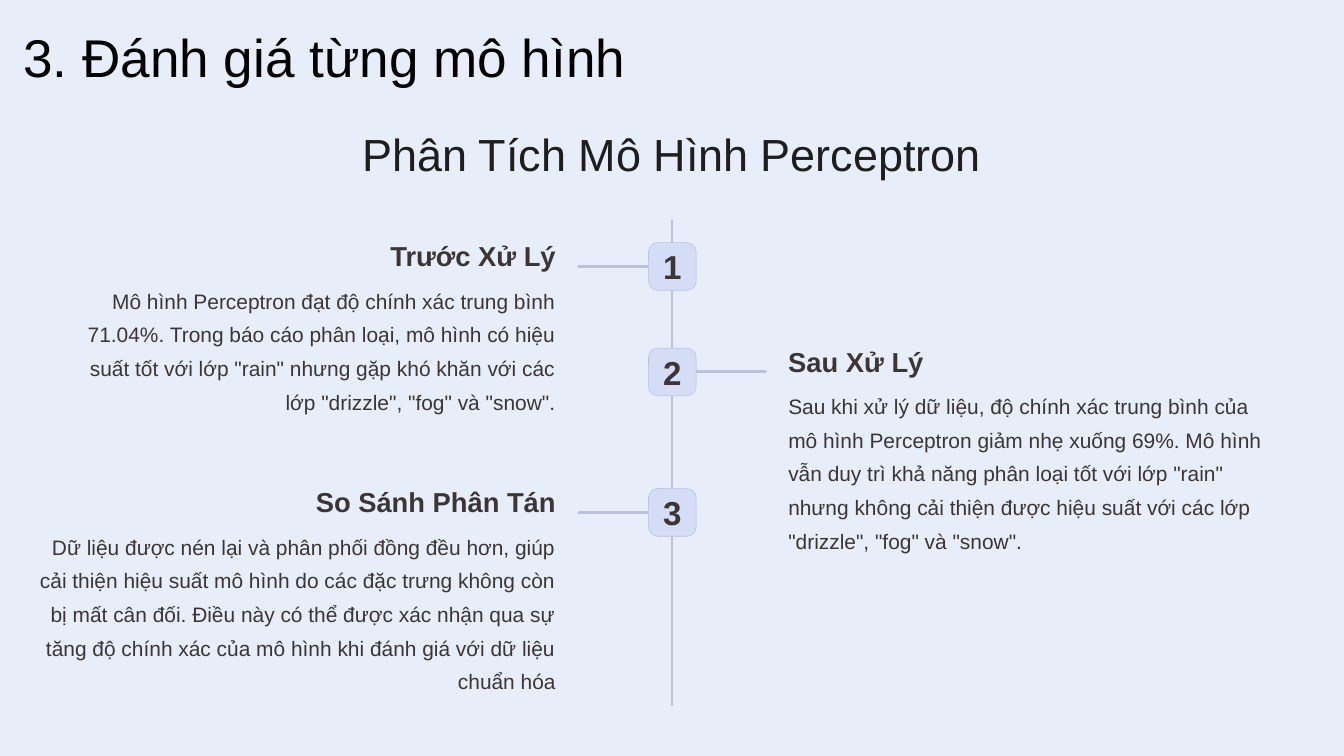
from pptx import Presentation
from pptx.dml.color import RGBColor as RGB
from pptx.enum.shapes import MSO_CONNECTOR as LINE, MSO_SHAPE as SHAPE
from pptx.enum.text import MSO_ANCHOR as ANCHOR, MSO_AUTO_SIZE as FIT, PP_ALIGN as ALIGN
from pptx.oxml.ns import qn
from pptx.util import Inches, Pt

# The slide is a grid of 20 columns by 11.25 rows
COLS, ROWS = 20, 11.25
CELL = Inches(1)
AXIS = COLS / 2

BACK = RGB(0xE7, 0xEE, 0xF9)
BLACK = RGB(0x00, 0x00, 0x00)
HEAD = RGB(0x1F, 0x1E, 0x1E)
INK = RGB(0x3B, 0x35, 0x35)
RULE = RGB(0xBB, 0xC2, 0xDC)
BADGE = RGB(0xD5, 0xDC, 0xF6)

# Side of the axis (-1 left, 1 right), row, body width and height, heading, body
STEPS = [
    (-1, 3.96, 7.15, 2.01, "Trước Xử Lý",
     "Mô hình Perceptron đạt độ chính xác trung bình 71.04%. Trong báo cáo "
     "phân loại, mô hình có hiệu suất tốt với lớp \"rain\" nhưng gặp khó khăn "
     "với các lớp \"drizzle\", \"fog\" và \"snow\"."),
    (1, 5.53, 7.15, 2.51, "Sau Xử Lý",
     "Sau khi xử lý dữ liệu, độ chính xác trung bình của mô hình Perceptron "
     "giảm nhẹ xuống 69%. Mô hình vẫn duy trì khả năng phân loại tốt với lớp "
     "\"rain\" nhưng không cải thiện được hiệu suất với các lớp \"drizzle\", "
     "\"fog\" và \"snow\"."),
    (-1, 7.62, 7.92, 2.51, "So Sánh Phân Tán",
     "Dữ liệu được nén lại và phân phối đồng đều hơn, giúp cải thiện hiệu suất "
     "mô hình do các đặc trưng không còn bị mất cân đối. Điều này có thể được "
     "xác nhận qua sự tăng độ chính xác của mô hình khi đánh giá với dữ liệu "
     "chuẩn hóa"),
]


def grid(*cells):
    return [round(c * CELL) for c in cells]


def write(shape, text, size, lead, color=INK, bold=False, align=ALIGN.LEFT,
          anchor=ANCHOR.TOP, top=0):
    frame = shape.text_frame
    frame.word_wrap = True
    frame.auto_size = FIT.NONE
    frame.vertical_anchor = anchor
    frame.margin_left = frame.margin_right = frame.margin_bottom = 0
    frame.margin_top = round(top * CELL)
    frame.text = text
    para = frame.paragraphs[0]
    para.alignment = align
    para.line_spacing = Pt(lead)
    para.space_before = Pt(0)
    font = para.runs[0].font
    font.name, font.size, font.bold = "Arial", Pt(size), bold
    font.color.rgb = color


def label(slide, box, text, **form):
    write(slide.shapes.add_textbox(*grid(*box)), text, **form)


def rule(slide, *ends):
    line = slide.shapes.add_connector(LINE.STRAIGHT, *grid(*ends))
    line.line.color.rgb = RULE
    line.line.width = Pt(3.2)
    line.line._get_or_add_ln().set("cap", "rnd")
    props = line._element.spPr
    props.append(props.makeelement(qn("a:effectLst"), {}))


def titles(slide, box):
    left, top, width, height = box
    title = slide.shapes.title
    title.left, title.top, title.width, title.height = grid(
        left, top, width / 2, 0.99)
    write(title, "3. Đánh giá từng mô hình", 56.9, 70.3, color=BLACK)
    label(slide, (AXIS - width / 3, top + height - 0.85, width * 2 / 3, 0.85),
          "Phân Tích Mô Hình Perceptron", size=48.2, lead=60.4, color=HEAD,
          align=ALIGN.CENTER)


def badge(slide, box, number):
    shape = slide.shapes.add_shape(SHAPE.ROUNDED_RECTANGLE, *grid(*box))
    shape.adjustments[0] = 0.19
    shape.shadow.inherit = False
    shape.fill.solid()
    shape.fill.fore_color.rgb = BADGE
    shape.line.color.rgb = RULE
    shape.line.width = Pt(0.6)
    write(shape, str(number), 35.5, 35.5, bold=True, align=ALIGN.CENTER,
          anchor=ANCHOR.MIDDLE, top=0.1)


def step(slide, number, side, row, width, height, head, body):
    # Branch and numbered badge
    rule(slide, AXIS + side * 0.35, row, AXIS + side * 1.39, row)
    badge(slide, (AXIS - 0.35, row - 0.35, 0.71, 0.71), number)

    # Heading and body, flush with the branch
    align = ALIGN.RIGHT if side < 0 else ALIGN.LEFT

    def flush(wide):
        return AXIS + side * 1.73 - (wide if side < 0 else 0)

    label(slide, (flush(4.13), row - 0.42, 4.13, 0.51), head,
          size=29.3, lead=36.8, bold=True, align=align)
    label(slide, (flush(width), row + 0.2, width, height), body,
          size=22.4, lead=36.1, align=align)


def timeline(slide, top, foot):
    rule(slide, AXIS, top, AXIS, foot)
    for number, item in enumerate(STEPS, 1):
        step(slide, number, *item)


def main():
    deck = Presentation()
    deck.slide_width, deck.slide_height = grid(COLS, ROWS)
    slide = deck.slides.add_slide(deck.slide_layouts[5])
    slide.background.fill.solid()
    slide.background.fill.fore_color.rgb = BACK
    titles(slide, (0.35, 0.34, 19.3, 2.36))
    timeline(slide, 3.28, 10.49)
    deck.save("out.pptx")


if __name__ == "__main__":
    main()
